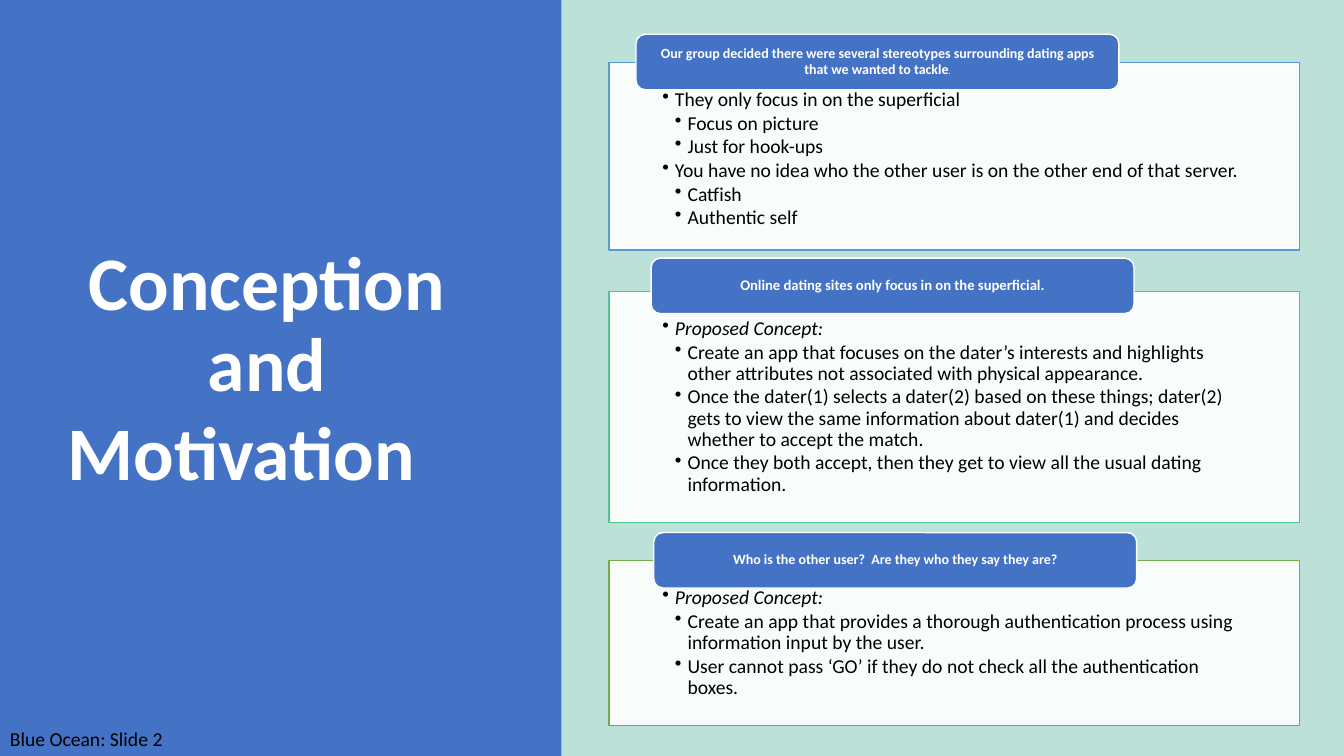
from dataclasses import dataclass

from lxml.etree import SubElement
from pptx import Presentation
from pptx.dml.color import RGBColor
from pptx.enum.shapes import MSO_SHAPE as Preset
from pptx.enum.text import MSO_ANCHOR as Anchor, MSO_AUTO_SIZE as AutoSize, PP_ALIGN as Align
from pptx.oxml.ns import qn
from pptx.shapes.autoshape import Shape
from pptx.slide import Slide
from pptx.text.text import TextFrame, _Paragraph as Paragraph, _Run as Run
from pptx.util import Pt


@dataclass(frozen=True)
class Theme:
    font: str = "Calibri"
    background: str = "BBE1D9"
    accent: str = "4472C4"
    light: str = "FFFFFF"
    dark: str = "000000"
    panel_opacity: int = 90
    title_size: float = 54
    title_tab_size: float = 60
    body_size: float = 14
    full_stop_size: float = 5
    line_spacing: float = 0.9
    bullet_gap: float = 1.75
    bullet_indent: float = 9


@dataclass(frozen=True)
class Box:
    left: float
    top: float
    width: float
    height: float


@dataclass(frozen=True)
class Bullet:
    text: str
    level: int = 2
    italic: bool = False


@dataclass(frozen=True)
class Section:
    heading: str
    heading_left: float
    heading_top: float
    panel_top: float
    panel_height: float
    outline: str
    bullets: tuple[Bullet, ...]
    heading_size: float = 10
    small_ending: str = ""


THEME = Theme()
PANEL_LEFT, PANEL_WIDTH = 434.9, 493.2
HEADING_WIDTH, HEADING_HEIGHT = 344.9, 39.6
PROPOSED = Bullet("Proposed Concept:", 1, italic=True)

SECTIONS = (
    Section(
        "Our group decided there were several stereotypes surrounding dating apps "
        "that we wanted to tackle",
        454.3, 24.5, 44.6, 133.9, "5B9BD5",
        (
            Bullet("They only focus in on the superficial", 1),
            Bullet("Focus on picture"),
            Bullet("Just for hook-ups"),
            Bullet("You have no idea who the other user is on the other end of that server.", 1),
            Bullet("Catfish"),
            Bullet("Authentic self"),
        ),
        small_ending=".",
    ),
    Section(
        "Online dating sites only focus in on the superficial.",
        465.1, 184.4, 208.1, 165.3, "4DC58D",
        (
            PROPOSED,
            Bullet("Create an app that focuses on the dater’s interests and highlights "
                   "other attributes not associated with physical appearance."),
            Bullet("Once the dater(1) selects a dater(2) based on these things; dater(2) gets to "
                   "view the same information about dater(1) and decides whether to accept the match."),
            Bullet("Once they both accept, then they get to view all the usual dating information."),
        ),
        heading_size=10.5,
    ),
    Section(
        "Who is the other user?  Are they who they say they are?",
        467, 380.4, 400.3, 118, "70AD47",
        (
            PROPOSED,
            Bullet("Create an app that provides a thorough authentication process using "
                   "information input by the user."),
            Bullet("User cannot pass ‘GO’ if they do not check all the authentication boxes."),
        ),
    ),
)


def rgb(colour: str) -> RGBColor:
    return RGBColor.from_string(colour)


def style_run(run: Run, size: float, colour: str, bold: bool = False, italic: bool = False) -> None:
    run.font.name = THEME.font
    run.font.size = Pt(size)
    run.font.color.rgb = rgb(colour)
    run.font.bold = bold
    run.font.italic = italic


def set_insets(frame: TextFrame, left: float, top: float, right: float, bottom: float) -> None:
    frame.margin_left, frame.margin_top = Pt(left), Pt(top)
    frame.margin_right, frame.margin_bottom = Pt(right), Pt(bottom)


def add_block(slide: Slide, preset: Preset, box: Box, fill: str, outline: str | None = None) -> Shape:
    block = slide.shapes.add_shape(preset, Pt(box.left), Pt(box.top), Pt(box.width), Pt(box.height))
    block.shadow.inherit = False
    block.fill.solid()
    block.fill.fore_color.rgb = rgb(fill)
    if outline:
        block.line.color.rgb = rgb(outline)
        block.line.width = Pt(1)
    else:
        block.line.fill.background()
    block.text_frame.word_wrap = True
    return block


def write_bullet(paragraph: Paragraph, bullet: Bullet) -> None:
    paragraph.text = bullet.text
    paragraph.level = bullet.level
    paragraph.alignment = Align.LEFT
    paragraph.line_spacing = THEME.line_spacing
    paragraph.space_after = Pt(THEME.bullet_gap)
    style_run(paragraph.runs[0], THEME.body_size, THEME.dark, italic=bullet.italic)
    properties = paragraph._p.get_or_add_pPr()
    properties.set("marL", str(Pt(THEME.bullet_indent * bullet.level)))
    properties.set("indent", str(-Pt(THEME.bullet_indent)))
    SubElement(properties, qn("a:buChar")).set("char", "•")


def add_panel(slide: Slide, section: Section) -> None:
    box = Box(PANEL_LEFT, section.panel_top, PANEL_WIDTH, section.panel_height)
    panel = add_block(slide, Preset.RECTANGLE, box, THEME.light, section.outline)
    colour = panel.fill._xPr.find(qn("a:solidFill"))[0]
    SubElement(colour, qn("a:alpha")).set("val", str(THEME.panel_opacity * 1000))
    frame = panel.text_frame
    frame.vertical_anchor = Anchor.TOP
    set_insets(frame, 38.2, 19.4, 38.2, 7.9)
    for index, bullet in enumerate(section.bullets):
        write_bullet(frame.add_paragraph() if index else frame.paragraphs[0], bullet)


def add_heading(slide: Slide, section: Section) -> None:
    box = Box(section.heading_left, section.heading_top, HEADING_WIDTH, HEADING_HEIGHT)
    heading = add_block(slide, Preset.ROUNDED_RECTANGLE, box, THEME.accent, THEME.light)
    frame = heading.text_frame
    frame.text = section.heading
    frame.vertical_anchor = Anchor.MIDDLE
    set_insets(frame, 14.8, 0, 14.8, 0)
    paragraph = frame.paragraphs[0]
    paragraph.alignment = Align.CENTER
    paragraph.line_spacing = THEME.line_spacing
    style_run(paragraph.runs[0], section.heading_size, THEME.light, bold=True)
    if section.small_ending:
        ending = paragraph.add_run()
        ending.text = section.small_ending
        style_run(ending, THEME.full_stop_size, THEME.light, bold=True)


def write_title(slide: Slide) -> None:
    title = slide.shapes.title
    title.left, title.top, title.width, title.height = Pt(41), Pt(49), Pt(299.5), Pt(433.4)
    frame = title.text_frame
    frame.text = "Conception and Motivation "
    frame.word_wrap = True
    frame.auto_size = AutoSize.NONE
    frame.vertical_anchor = Anchor.MIDDLE
    paragraph = frame.paragraphs[0]
    paragraph.alignment = Align.CENTER
    paragraph.line_spacing = THEME.line_spacing
    style_run(paragraph.runs[0], THEME.title_size, THEME.light, bold=True)
    tab = paragraph.add_run()
    tab.text = "\t"
    style_run(tab, THEME.title_tab_size, THEME.light, bold=True)


def add_footer(slide: Slide) -> None:
    footer = slide.shapes.add_textbox(Pt(0), Pt(515.8), Pt(158.4), Pt(24.2))
    frame = footer.text_frame
    frame.text = "Blue Ocean: Slide 2"
    frame.word_wrap = True
    frame.auto_size = AutoSize.SHAPE_TO_FIT_TEXT
    style_run(frame.paragraphs[0].runs[0], THEME.body_size, THEME.dark)


def main() -> None:
    deck = Presentation()
    deck.slide_width, deck.slide_height = Pt(960), Pt(540)
    slide = deck.slides.add_slide(deck.slide_layouts.get_by_name("Title Only"))
    slide.background.fill.solid()
    slide.background.fill.fore_color.rgb = rgb(THEME.background)
    sidebar = add_block(slide, Preset.RECTANGLE, Box(0, 0, 401, 540), THEME.accent)
    slide.shapes.title._element.addprevious(sidebar._element)
    write_title(slide)
    for section in SECTIONS:
        add_panel(slide, section)
        add_heading(slide, section)
    add_footer(slide)
    deck.save("out.pptx")


if __name__ == "__main__":
    main()
